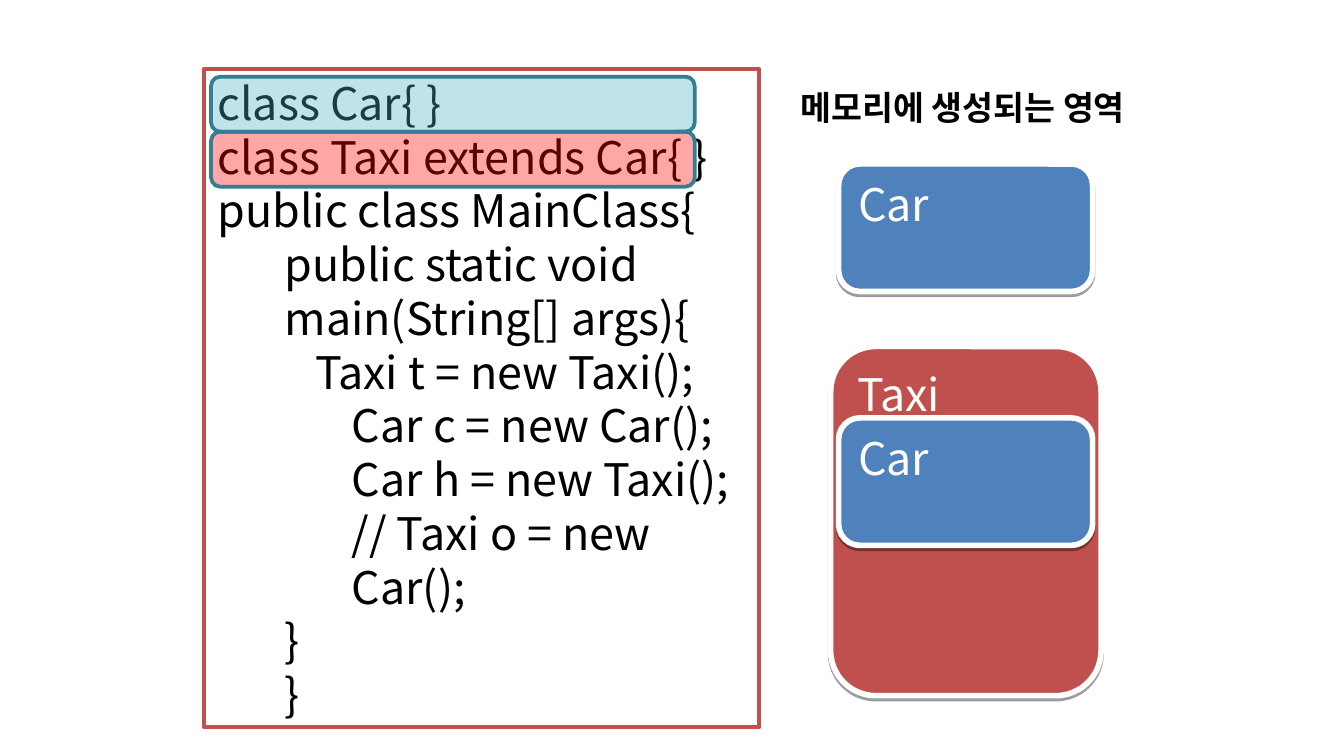
from lxml import etree
from pptx import Presentation
from pptx.dml.color import RGBColor
from pptx.enum.shapes import MSO_SHAPE as Shape
from pptx.enum.text import MSO_ANCHOR as Anchor, PP_ALIGN as Align
from pptx.oxml.ns import qn
from pptx.util import Cm, Pt

FONT = "Noto Sans CJK KR"
LINE_RATIO = 1.2
CODE = [  # text, left indent in cm
    ("class Car{ }", 0),
    ("class Taxi extends Car{ }", 0),
    ("public class MainClass{", 0),
    ("public static void main(String[] args){", 1.27),
    ("Taxi t = new Taxi();", 1.85),
    ("Car c = new Car();", 2.54),
    ("Car h = new Taxi();", 2.54),
    ("// Taxi o = new Car();", 2.54),
    ("}", 1.27),
    ("}", 1.27),
]


def color(value):
    return RGBColor.from_string(value)


def add_child(parent, tag, **values):
    child = etree.SubElement(parent, qn(tag))
    for name, value in values.items():
        child.set(name, str(value))
    return child


def write(box, lines, size=24, ink="000000", bold=False, wrap=True):
    """Fill a box with (text, indent) lines."""
    frame = box.text_frame
    settings = {
        "word_wrap": wrap, "vertical_anchor": Anchor.TOP,
        "margin_left": Cm(0.25), "margin_right": Cm(0.25),
        "margin_top": Cm(0.13), "margin_bottom": Cm(0.13),
    }
    for name, value in settings.items():
        setattr(frame, name, value)
    for index, (text, indent) in enumerate(lines):
        para = frame.add_paragraph() if index else frame.paragraphs[0]
        para.alignment = Align.LEFT
        para.line_spacing = Pt(size * LINE_RATIO)
        if indent:
            para._p.get_or_add_pPr().set("marL", str(Cm(indent)))
        span = para.add_run()
        span.text = text
        for name, value in {"name": FONT, "size": Pt(size), "bold": bold}.items():
            setattr(span.font, name, value)
        span.font.color.rgb = color(ink)
        add_child(span._r.get_or_add_rPr(), "a:ea", typeface=FONT)


def add_box(shapes, kind, left, top, width, height, fill, line, weight, opacity=None):
    box = shapes.add_shape(kind, Cm(left), Cm(top), Cm(width), Cm(height))
    box.shadow.inherit = False
    box.fill.solid()
    box.fill.fore_color.rgb = color(fill)
    box.line.color.rgb = color(line)
    box.line.width = Pt(weight)
    if opacity:
        tint = box._element.spPr.find(qn("a:solidFill"))[0]
        add_child(tint, "a:alpha", val=opacity * 1000)
    return box


def add_object(shapes, left, top, width, height, name, fill):
    """A rounded memory block with a soft drop shadow."""
    box = add_box(shapes, Shape.ROUNDED_RECTANGLE, left, top, width, height,
                  fill, "FFFFFF", 3)
    effects = box._element.spPr.find(qn("a:effectLst"))
    shadow = add_child(effects, "a:outerShdw", blurRad=0, dist=Pt(1.6),
                       dir=5400000, rotWithShape=0)
    add_child(add_child(shadow, "a:srgbClr", val="000000"), "a:alpha", val=38000)
    write(box, [(name, 0)], ink="FFFFFF")


def add_code(page, left, top, width, height):
    listing = add_box(page.shapes, Shape.RECTANGLE, left, top, width, height,
                      "FFFFFF", "C0504D", 2)
    write(listing, CODE)
    # Highlights over the two class lines
    row = 1.04
    for index, fill in enumerate(("4BACC6", "FF0000")):
        add_box(page.shapes, Shape.ROUNDED_RECTANGLE, left + 0.13,
                top + 0.15 + index * row, 9.14, row, fill, "357D91", 2, 35)


def add_memory(page, left, top, width):
    # Heading
    heading = page.shapes.add_textbox(Cm(left), Cm(top), Cm(width), Cm(1.02))
    write(heading, [("메모리에 생성되는 영역", 0)], size=18, bold=True, wrap=False)
    # Stand-alone Car, then a Taxi that contains a Car
    car_left, car_size, blue = left + 0.97, (4.8, 2.41), "4F81BD"
    add_object(page.shapes, car_left, top + 1.58, *car_size, "Car", blue)
    taxi = page.shapes.add_group_shape().shapes
    add_object(taxi, left + 0.82, top + 5.03, 5.11, 6.6, "Taxi", "C0504D")
    add_object(taxi, car_left, top + 6.38, *car_size, "Car", blue)


def main():
    deck = Presentation()
    deck.slide_width, deck.slide_height = Cm(25.4), Cm(14.29)
    page = deck.slides.add_slide(deck.slide_layouts[6])
    add_code(page, 3.86, 1.3, 10.49, 12.45)
    add_memory(page, 14.88, 1.52, 6.71)
    deck.save("out.pptx")


if __name__ == "__main__":
    main()
